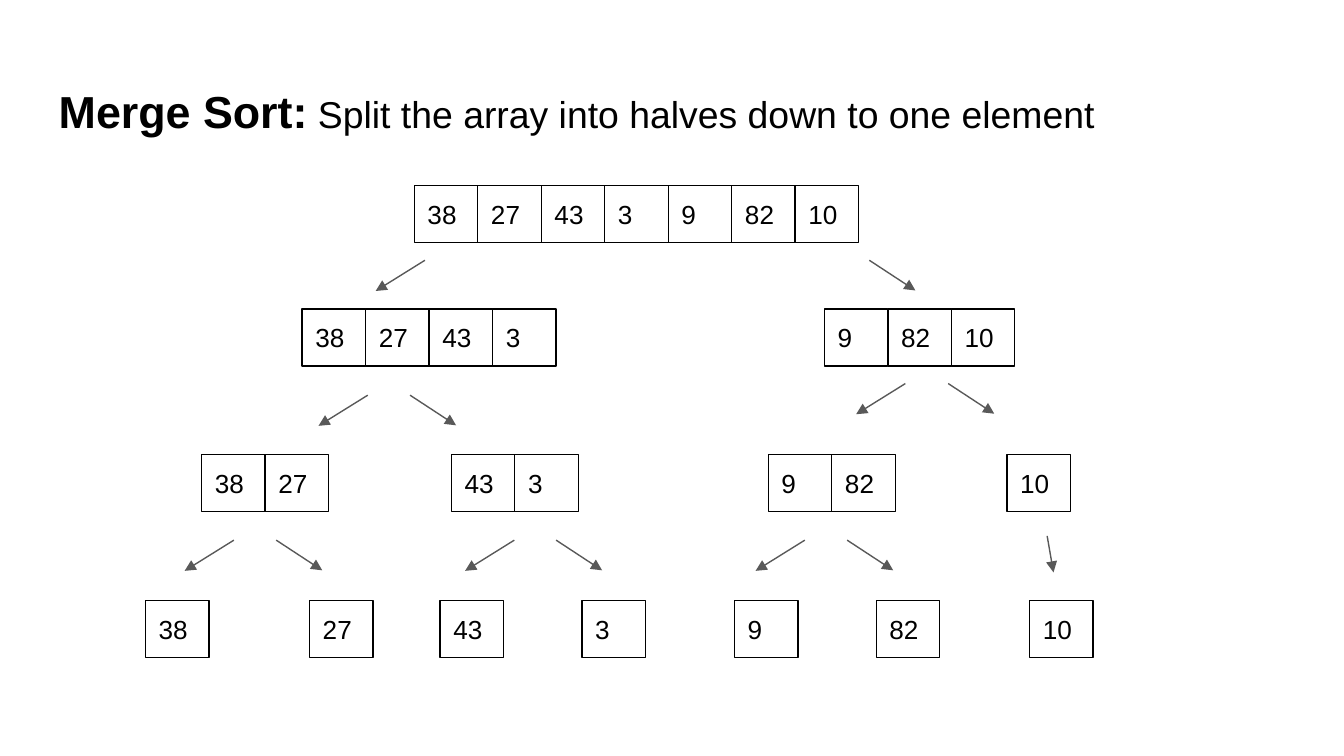
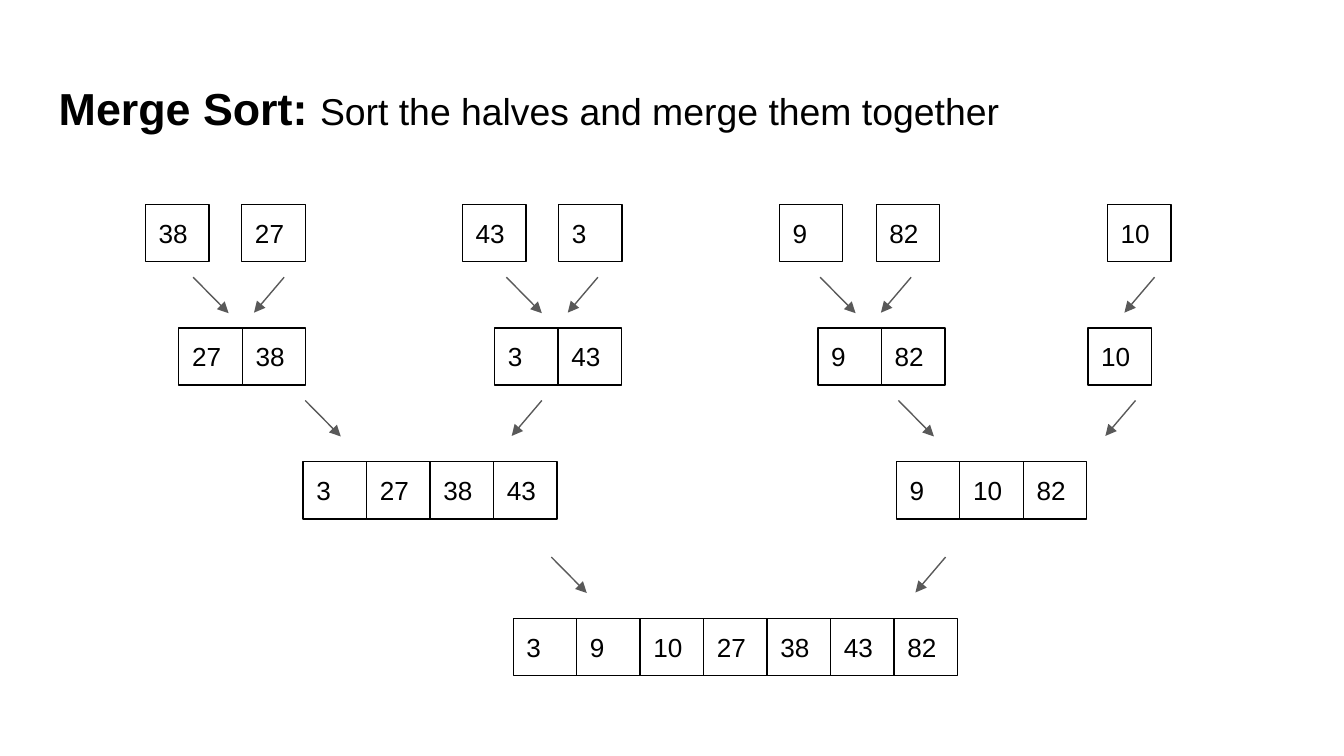
"""Build two slides that show how merge sort splits and merges an array."""

from dataclasses import dataclass

from lxml import etree
from pptx import Presentation
from pptx.dml.color import RGBColor
from pptx.enum.shapes import MSO_CONNECTOR, MSO_SHAPE
from pptx.enum.text import MSO_ANCHOR, PP_ALIGN
from pptx.oxml.ns import qn
from pptx.slide import Slide
from pptx.text.text import TextFrame
from pptx.util import Cm, Pt

RECTANGLE = MSO_SHAPE.RECTANGLE
STRAIGHT = MSO_CONNECTOR.STRAIGHT
MIDDLE = MSO_ANCHOR.MIDDLE
LEFT = PP_ALIGN.LEFT

BLACK = RGBColor(0x00, 0x00, 0x00)
GREY = RGBColor(0x59, 0x59, 0x59)
LINE_WIDTH = Pt(0.75)

CELL_WIDTH = 1.2
CELL_HEIGHT = 1.08
INSET = Cm(0.25)

FRAME_FORMAT = {
    "word_wrap": True,
    "vertical_anchor": MIDDLE,
    "margin_left": INSET,
    "margin_right": INSET,
    "margin_top": INSET,
    "margin_bottom": INSET,
}
HEADING_FONT = {"name": "Arial", "size": Pt(24), "bold": True}
SUBTITLE_FONT = {"name": "Arial", "size": Pt(20), "bold": False}
CELL_FONT = {"name": "Arial", "size": Pt(14)}

SPLIT_LEFT = (-0.93, 0.58)
SPLIT_RIGHT = (0.87, 0.57)
SPLIT_DOWN = (0.12, 0.69)
MERGE_RIGHT = (0.67, 0.68)
MERGE_LEFT = (-0.57, 0.67)


@dataclass(frozen=True)
class ArrayLevel:
    """Arrays at one height, as pairs of left edge and numbers, in centimetres."""

    top: float
    arrays: tuple[tuple[float, tuple[int, ...]], ...]


@dataclass(frozen=True)
class ArrowLevel:
    """Parallel arrows that start at one height, in centimetres."""

    top: float
    direction: tuple[float, float]
    starts: tuple[float, ...]


@dataclass(frozen=True)
class SortStage:
    """Content of one slide."""

    title_top: float
    heading: str
    subtitle: str
    array_levels: tuple[ArrayLevel, ...]
    arrow_levels: tuple[ArrowLevel, ...]


SPLIT_STAGE = SortStage(
    1.3,
    "Merge Sort:",
    " Split the array into halves down to one element",
    (
        ArrayLevel(3.51, ((7.83, (38, 27, 43, 3, 9, 82, 10)),)),
        ArrayLevel(5.84, ((5.71, (38, 27, 43, 3)), (15.58, (9, 82, 10)))),
        ArrayLevel(
            8.59,
            ((3.81, (38, 27)), (8.53, (43, 3)), (14.52, (9, 82)), (19.03, (10,))),
        ),
        ArrayLevel(
            11.35,
            (
                (2.75, (38,)),
                (5.85, (27,)),
                (8.32, (43,)),
                (11.0, (3,)),
                (13.88, (9,)),
                (16.56, (82,)),
                (19.46, (10,)),
            ),
        ),
    ),
    (
        ArrowLevel(4.92, SPLIT_LEFT, (8.03,)),
        ArrowLevel(4.92, SPLIT_RIGHT, (16.43,)),
        ArrowLevel(7.25, SPLIT_LEFT, (17.11,)),
        ArrowLevel(7.25, SPLIT_RIGHT, (17.92,)),
        ArrowLevel(7.47, SPLIT_LEFT, (6.95,)),
        ArrowLevel(7.47, SPLIT_RIGHT, (7.75,)),
        ArrowLevel(10.21, SPLIT_LEFT, (4.42, 9.72, 15.21)),
        ArrowLevel(10.21, SPLIT_RIGHT, (5.22, 10.51, 16.01)),
        ArrowLevel(10.13, SPLIT_DOWN, (19.79,)),
    ),
)

MERGE_STAGE = SortStage(
    1.24,
    "Merge Sort: ",
    "Sort the halves and merge them together",
    (
        ArrayLevel(
            3.87,
            (
                (2.75, (38,)),
                (4.57, (27,)),
                (8.74, (43,)),
                (10.56, (3,)),
                (14.73, (9,)),
                (16.56, (82,)),
                (20.93, (10,)),
            ),
        ),
        ArrayLevel(
            6.2,
            ((3.38, (27, 38)), (9.35, (3, 43)), (15.46, (9, 82)), (20.56, (10,))),
        ),
        ArrayLevel(8.73, ((5.73, (3, 27, 38, 43)), (16.94, (9, 10, 82)))),
        ArrayLevel(11.69, ((9.7, (3, 9, 10, 27, 38, 43, 82)),)),
    ),
    (
        ArrowLevel(5.24, MERGE_RIGHT, (3.65, 9.57, 15.5)),
        ArrowLevel(5.24, MERGE_LEFT, (5.37, 11.3, 17.22, 21.82)),
        ArrowLevel(7.57, MERGE_RIGHT, (5.77, 16.98)),
        ArrowLevel(7.57, MERGE_LEFT, (10.24, 21.46)),
        ArrowLevel(10.53, MERGE_RIGHT, (10.42,)),
        ArrowLevel(10.53, MERGE_LEFT, (17.87,)),
    ),
)


def apply_format(target: object, values: dict[str, object]) -> None:
    """Set each named attribute of the target."""
    for name, value in values.items():
        setattr(target, name, value)


def write_text(frame: TextFrame, runs: list[tuple[str, dict[str, object]]]) -> None:
    """Fill a text frame with one left-aligned paragraph of formatted runs."""
    apply_format(frame, FRAME_FORMAT)
    paragraph = frame.paragraphs[0]
    paragraph.alignment = LEFT
    for text, font_format in runs:
        run = paragraph.add_run()
        run.text = text
        apply_format(run.font, font_format)
        run.font.color.rgb = BLACK


def draw_title(slide: Slide, stage: SortStage) -> None:
    """Draw the bold heading and its lighter subtitle on one line."""
    shape = slide.shapes.add_textbox(
        Cm(0.86), Cm(stage.title_top), Cm(23.67), Cm(1.6)
    )
    runs = [(stage.heading, HEADING_FONT), (stage.subtitle, SUBTITLE_FONT)]
    write_text(shape.text_frame, runs)


def draw_array(slide: Slide, left: float, top: float, numbers: tuple[int, ...]) -> None:
    """Draw an array as a group of adjoining cells."""
    group = slide.shapes.add_group_shape()
    for index, number in enumerate(numbers):
        shape = group.shapes.add_shape(
            RECTANGLE,
            Cm(left + index * CELL_WIDTH),
            Cm(top),
            Cm(CELL_WIDTH),
            Cm(CELL_HEIGHT),
        )
        shape.shadow.inherit = False
        shape.fill.background()
        shape.line.color.rgb = BLACK
        shape.line.width = LINE_WIDTH
        write_text(shape.text_frame, [(str(number), CELL_FONT)])


def draw_arrow(
    slide: Slide, left: float, top: float, direction: tuple[float, float]
) -> None:
    """Draw a grey arrow from a point along a direction."""
    across, down = direction
    connector = slide.shapes.add_connector(
        STRAIGHT, Cm(left), Cm(top), Cm(left + across), Cm(top + down)
    )
    connector.line.color.rgb = GREY
    connector.line.width = LINE_WIDTH
    properties = connector._element.spPr
    etree.SubElement(properties.find(qn("a:ln")), qn("a:tailEnd"), type="triangle")
    etree.SubElement(properties, qn("a:effectLst"))


def draw_stage(slide: Slide, stage: SortStage) -> None:
    """Draw the title, arrays and arrows of one stage."""
    draw_title(slide, stage)
    for level in stage.array_levels:
        for left, numbers in level.arrays:
            draw_array(slide, left, level.top, numbers)
    for level in stage.arrow_levels:
        for left in level.starts:
            draw_arrow(slide, left, level.top, level.direction)


def main() -> None:
    """Create and save the presentation."""
    presentation = Presentation()
    presentation.slide_width = Cm(25.4)
    presentation.slide_height = Cm(14.29)
    blank_layout = presentation.slide_layouts[6]
    for stage in (SPLIT_STAGE, MERGE_STAGE):
        draw_stage(presentation.slides.add_slide(blank_layout), stage)
    presentation.save("out.pptx")


if __name__ == "__main__":
    main()
